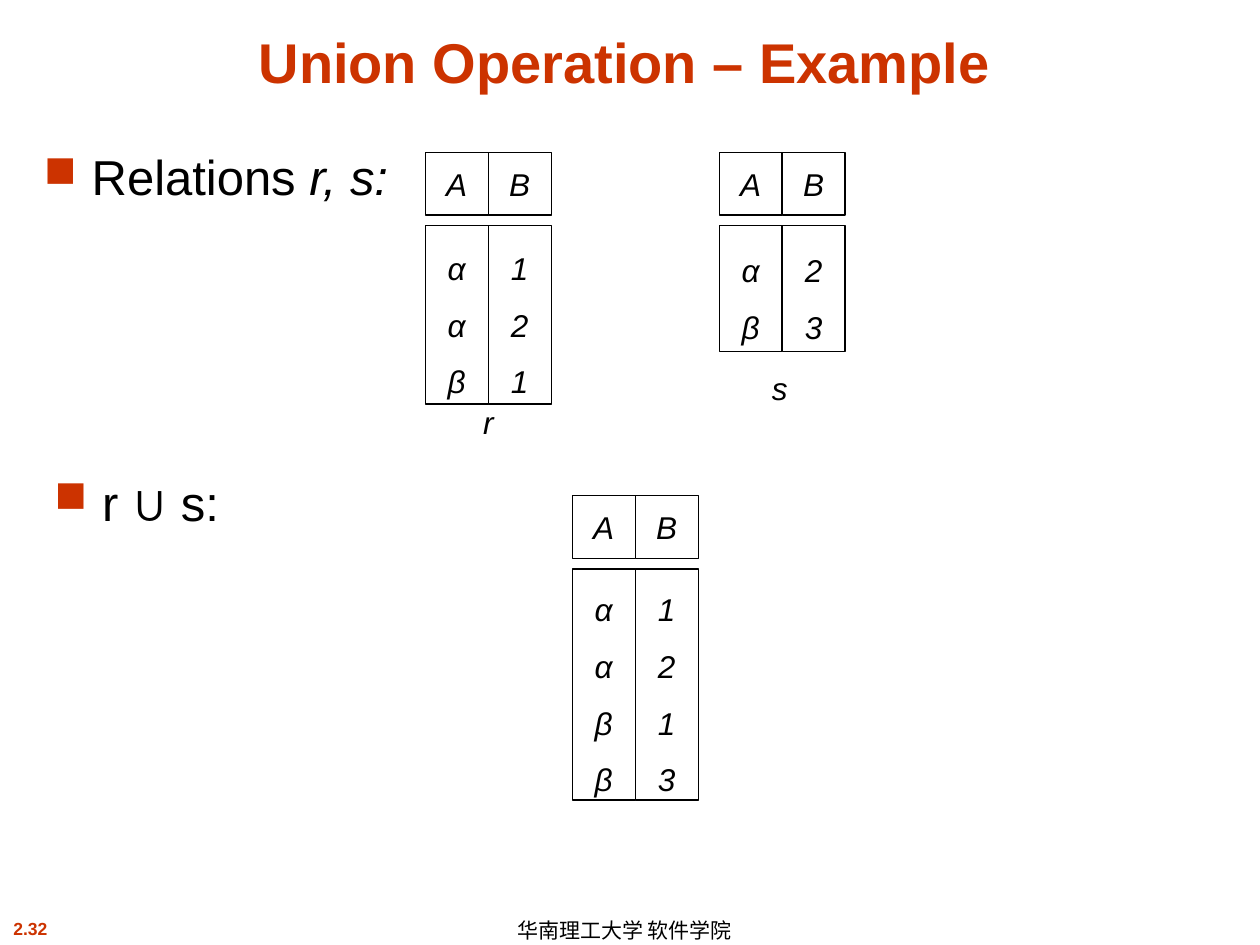
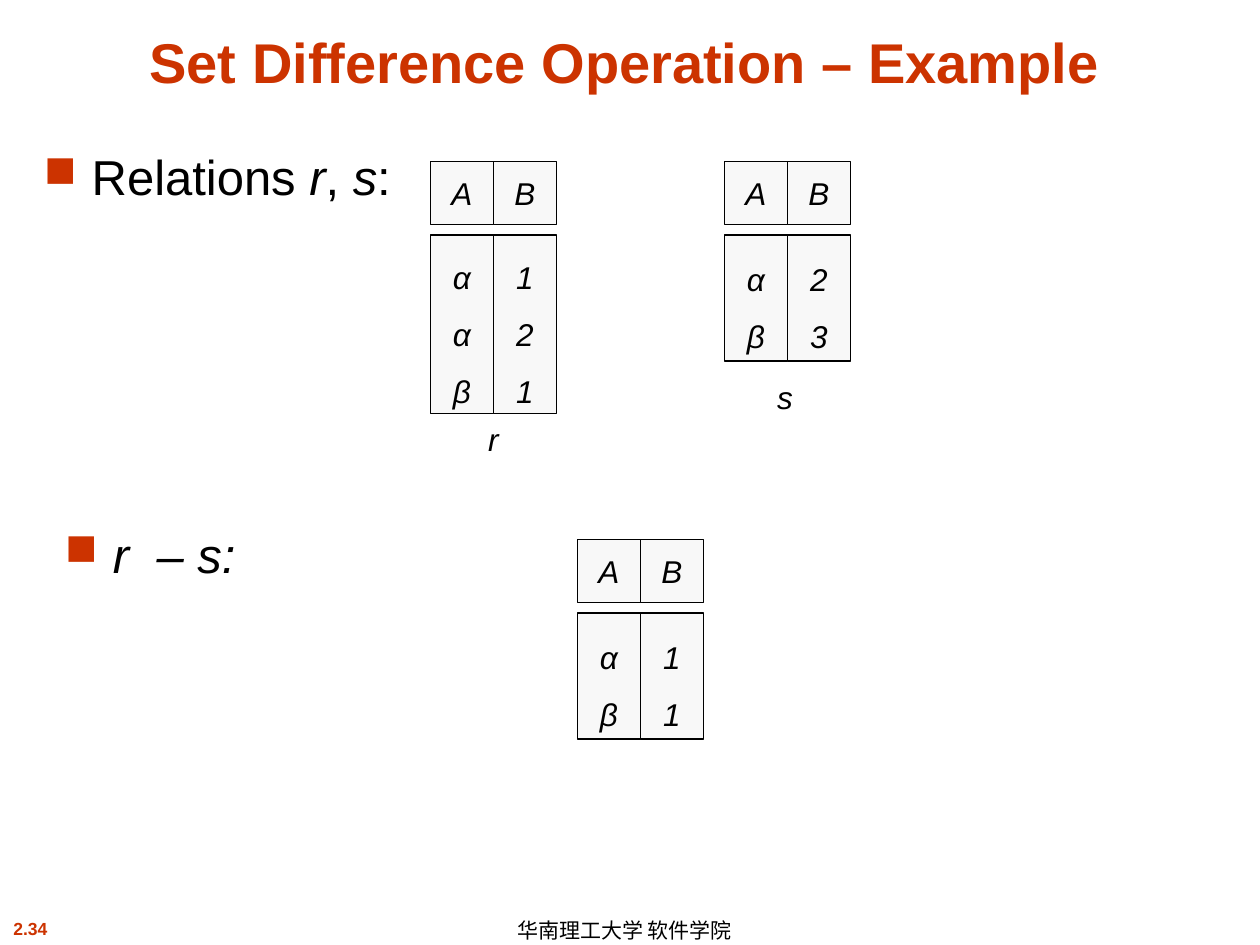
from dataclasses import dataclass

from lxml.etree import SubElement
from pptx import Presentation
from pptx.dml.color import RGBColor
from pptx.enum.shapes import MSO_SHAPE as Shape
from pptx.enum.text import MSO_ANCHOR as Anchor, PP_ALIGN as Align
from pptx.oxml.ns import qn
from pptx.util import Inches, Pt

# Grid of 120 columns by 90 rows, twelve to the inch
COLUMNS, ROWS, PER_INCH = 120, 90, 12
CELL, HEADER_GAP = 6, 1
ROW_PITCH, BODY_MARGIN = 5, 2


@dataclass(frozen=True)
class Theme:
    font: str = "Arial"
    accent: str = "CC3300"
    ink: str = "000000"
    white: str = "FFFFFF"
    grey: str = "F8F8F8"
    title: int = 32
    bullet: int = 28
    cell: int = 18
    footer: int = 12
    number: int = 10


THEME = Theme()


def grid(*lengths):
    return [Inches(length / PER_INCH) for length in lengths]


def style(paragraph, size, color=THEME.ink, bold=None, italic=None):
    font = paragraph.font
    font.name, font.size = THEME.font, Pt(size)
    font.bold, font.italic = bold, italic
    font.color.rgb = RGBColor.from_string(color)


def add_text(shapes, area, text, size, align=Align.CENTER,
             anchor=Anchor.MIDDLE, wrap=False, **look):
    frame = shapes.add_textbox(*grid(*area)).text_frame
    frame.word_wrap, frame.vertical_anchor = wrap, anchor
    paragraph = frame.paragraphs[0]
    paragraph.text, paragraph.alignment = text, align
    style(paragraph, size, **look)
    return paragraph


def add_bullet(slide, area, runs):
    """Each run is its text, whether it is italic, and optional spacing in points."""
    paragraph = add_text(slide.shapes, area, "", THEME.bullet, Align.LEFT,
                         Anchor.TOP, wrap=True)
    properties = paragraph._p.get_or_add_pPr()
    properties.set("marL", str(Inches(0.38)))
    properties.set("indent", str(-Inches(0.38)))
    color = SubElement(properties, qn("a:buClr"))
    SubElement(color, qn("a:srgbClr"), val=THEME.accent)
    SubElement(properties, qn("a:buSzPct"), val="90000")
    SubElement(properties, qn("a:buChar"), char="■")
    properties.append(properties.find(qn("a:defRPr")))
    paragraph.line_spacing = 0.9
    for text, italic, *spacing in runs:
        run = paragraph.add_run()
        run.text, run.font.italic = text, italic
        for points in spacing:
            run._r.get_or_add_rPr().set("spc", str(points * 100))


def add_cell(shapes, area, lines, fill, line_spacing=None):
    cell = shapes.add_shape(Shape.RECTANGLE, *grid(*area))
    cell.shadow.inherit = False
    cell.fill.solid()
    cell.fill.fore_color.rgb = RGBColor.from_string(fill)
    cell.line.color.rgb = RGBColor.from_string(THEME.ink)
    cell.line.width = Pt(0.75)
    frame = cell.text_frame
    frame.word_wrap, frame.vertical_anchor = False, Anchor.MIDDLE
    frame.text = "\n".join(lines)
    for paragraph in frame.paragraphs:
        paragraph.alignment, paragraph.line_spacing = Align.CENTER, line_spacing
        style(paragraph, THEME.cell, italic=True)


def add_relation(shapes, left, top, columns, fill):
    """Draw header cells over value columns; return the bottom edge."""
    body_top = top + CELL + HEADER_GAP
    height = ROW_PITCH * len(columns[0]) + BODY_MARGIN
    for index, (attribute, values) in enumerate(zip("AB", columns)):
        x = left + index * CELL
        add_cell(shapes, (x, top, CELL, CELL), attribute, fill)
        add_cell(shapes, (x, body_top, CELL, height), values, fill, 1.5)
    return body_top + height


def add_relation_name(slide, name, center, top):
    width = 3.6
    add_text(slide.shapes, (center - width / 2, top, width, 4.8), name,
             THEME.cell, italic=True)


def add_operands(slide, left, top, fill, r_name_gap):
    """Draw the relations r and s side by side with their names below."""
    operands = (("r", left, ("ααβ", "121"), 0, r_name_gap),
                ("s", left + 28, ("αβ", "23"), -0.36, 1))
    for name, x, columns, shift, gap in operands:
        bottom = add_relation(slide.shapes, x, top, columns, fill)
        add_relation_name(slide, name, x + CELL + shift, bottom + gap)


def add_result(slide, left, top, columns, fill):
    group = slide.shapes.add_group_shape()
    add_relation(group.shapes, left, top, columns, fill)


def add_frame(deck, title, number):
    """Start a slide with its number, footer and title."""
    slide = deck.slides.add_slide(deck.slide_layouts[6])
    add_text(slide.shapes, (-3, 86.8, 11.8, 3.2), number, THEME.number,
             anchor=Anchor.TOP, color=THEME.accent, bold=True)
    footer = add_text(slide.shapes, (48.1, 87, 26.9, 3), "华南理工大学 软件学院",
                      THEME.footer, Align.LEFT)
    footer.line_spacing = 1.1
    add_text(slide.shapes, (3, 1.6, 113, 8), title, THEME.title,
             anchor=Anchor.BOTTOM, wrap=True, color=THEME.accent, bold=True)
    return slide


def main():
    deck = Presentation()
    deck.slide_width, deck.slide_height = grid(COLUMNS, ROWS)

    # Union
    union = add_frame(deck, "Union Operation – Example", "2.32")
    add_bullet(union, (3, 14, 37, 11), [("Relations ", False), ("r, s:", True)])
    add_bullet(union, (4, 45, 24, 7), [("r ∪ s:", False)])
    add_operands(union, 40.5, 14.5, THEME.white, -0.7)
    add_result(union, 54.5, 47.2, ("ααββ", "1213"), THEME.white)

    # Set difference
    difference = add_frame(deck, "Set Difference Operation – Example", "2.34")
    add_bullet(difference, (3, 14, 113, 69),
               [("Relations ", False), ("r", True), (", ", False),
                ("s", True), (":", False)])
    add_bullet(difference, (5, 50, 26, 8),
               [("r", True), (" ", True, 8), ("– s:", True)])
    add_operands(difference, 41, 15.4, THEME.grey, 0)
    add_result(difference, 55, 51.4, ("αβ", "11"), THEME.grey)

    deck.save("out.pptx")


if __name__ == "__main__":
    main()
